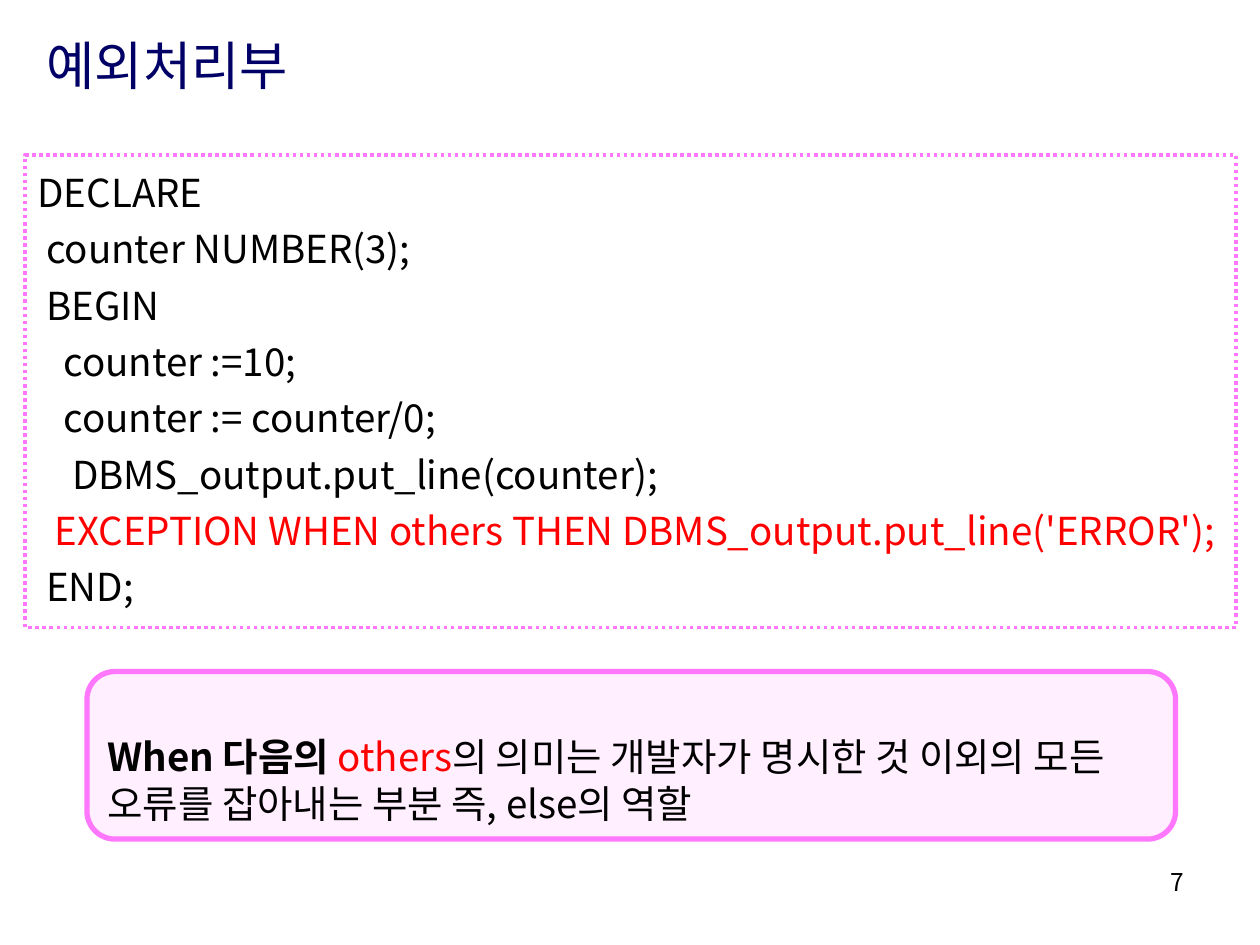
from pptx import Presentation
from pptx.dml.color import RGBColor
from pptx.enum.dml import MSO_LINE
from pptx.enum.shapes import MSO_SHAPE
from pptx.enum.text import MSO_ANCHOR, MSO_AUTO_SIZE, PP_ALIGN
from pptx.oxml.ns import qn
from pptx.util import Inches, Pt

COLORS = {
    "title": "000066",
    "text": "000000",
    "accent": "FF0000",
    "border": "FF77FC",
    "callout": "FFEFFF",
}
FONT = "Noto Sans CJK KR"

CODE = [
    [("DECLARE", {})],
    [(" counter NUMBER(3);", {})],
    [(" BEGIN", {})],
    [("   counter :=10;", {})],
    [("   counter := counter/0;", {})],
    [("    DBMS_output.put_line(counter);", {})],
    [
        ("  ", {}),
        ("EXCEPTION WHEN others THEN DBMS_output.put_line('ERROR');", {"color": "accent"}),
    ],
    [(" END;", {})],
]
EXPLANATION = [
    [
        ("When 다음의 ", {"bold": True}),
        ("others", {"color": "accent"}),
        ("의 의미는 개발자가 명시한 것 이외의 모든 오류를 잡아내는 부분 즉, else의 역할", {}),
    ]
]


def color_of(name):
    return RGBColor.from_string(COLORS[name])


def add_run(paragraph, text, size=22, color="text", bold=False):
    run = paragraph.add_run()
    run.text = text
    run.font.name = FONT
    run.font.size = Pt(size)
    run.font.bold = bold
    run.font.color.rgb = color_of(color)
    properties = run._r.get_or_add_rPr()
    east_asian = properties.makeelement(qn("a:ea"), {"typeface": FONT})
    properties.find(qn("a:latin")).addnext(east_asian)


class SlideBuilder:
    def __init__(self, presentation):
        self.slide = presentation.slides.add_slide(presentation.slide_layouts[5])

    def fill_text(self, shape, paragraphs, anchor=MSO_ANCHOR.MIDDLE, align=PP_ALIGN.LEFT,
                  line=None, before=0, top=0.05, bottom=0.05):
        frame = shape.text_frame
        frame.word_wrap = True
        frame.auto_size = MSO_AUTO_SIZE.NONE
        frame.vertical_anchor = anchor
        frame.margin_left = frame.margin_right = Inches(0.1)
        frame.margin_top = Inches(top)
        frame.margin_bottom = Inches(bottom)
        for index, runs in enumerate(paragraphs):
            paragraph = frame.add_paragraph() if index else frame.paragraphs[0]
            paragraph.alignment = align
            paragraph.space_before = Pt(before if index else 0)
            if line:
                paragraph.line_spacing = Pt(line)
            for text, style in runs:
                add_run(paragraph, text, **style)

    def title(self, text, left, top, width, height):
        shape = self.slide.shapes.title
        shape.left, shape.top = Inches(left), Inches(top)
        shape.width, shape.height = Inches(width), Inches(height)
        self.fill_text(shape, [[(text, {"size": 30, "color": "title"})]])

    def text_box(self, text, left, top, width, height, size, align):
        shape = self.slide.shapes.add_textbox(
            Inches(left), Inches(top), Inches(width), Inches(height))
        self.fill_text(shape, [[(text, {"size": size})]], MSO_ANCHOR.TOP, align)

    def panel(self, kind, paragraphs, left, top, width, height,
              line_width, fill=None, dash=None, text_format=None):
        shape = self.slide.shapes.add_shape(
            kind, Inches(left), Inches(top), Inches(width), Inches(height))
        shape.shadow.inherit = False
        if fill:
            shape.fill.solid()
            shape.fill.fore_color.rgb = color_of(fill)
        else:
            shape.fill.background()
        shape.line.color.rgb = color_of("border")
        shape.line.width = Pt(line_width)
        if dash:
            shape.line.dash_style = dash
        self.fill_text(shape, paragraphs, **(text_format or {}))


def main():
    presentation = Presentation()
    presentation.slide_width = Inches(10)
    presentation.slide_height = Inches(7.5)
    builder = SlideBuilder(presentation)
    builder.text_box("7", 7.17, 6.83, 2.33, 0.52, size=14, align=PP_ALIGN.RIGHT)
    builder.title("예외처리부", 0.27, 0.21, 9.45, 0.61)
    builder.panel(MSO_SHAPE.RECTANGLE, CODE, 0.2, 1.23, 9.61, 3.75,
                  line_width=2, dash=MSO_LINE.ROUND_DOT,
                  text_format={"line": 18.4, "before": 13.8, "top": 0.13})
    builder.panel(MSO_SHAPE.FLOWCHART_ALTERNATE_PROCESS, EXPLANATION,
                  0.69, 5.33, 8.64, 1.33, line_width=3, fill="callout",
                  text_format={"anchor": MSO_ANCHOR.BOTTOM, "line": 26.9, "bottom": 0.04})
    presentation.save("out.pptx")


if __name__ == "__main__":
    main()
